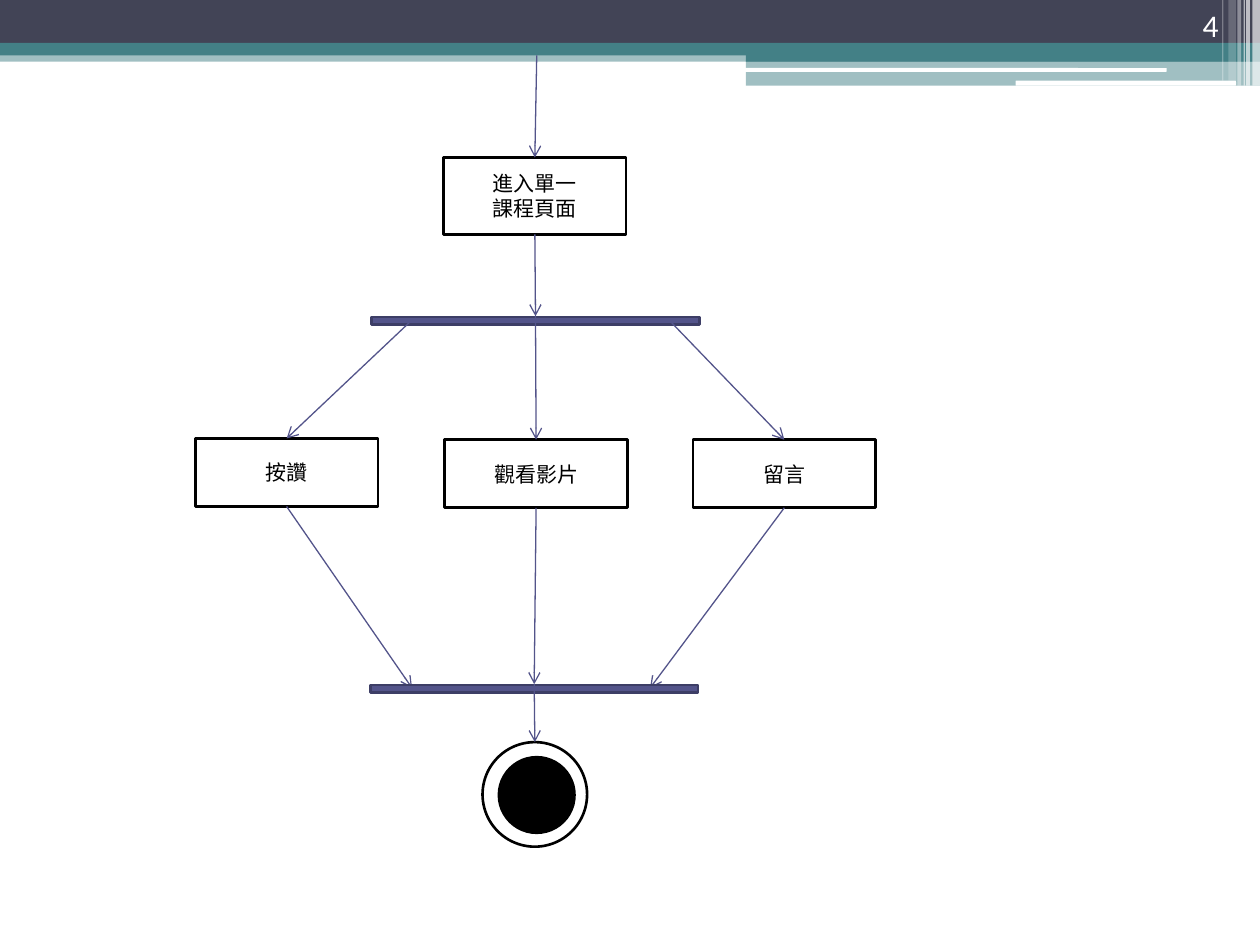
import pptx
import pptx.util
import pptx.dml.color
import pptx.enum.shapes
import pptx.enum.text
import pptx.oxml.ns
from lxml import etree

SHAPE = pptx.enum.shapes.MSO_SHAPE
ALIGN = pptx.enum.text.PP_ALIGN
ANCHOR = pptx.enum.text.MSO_ANCHOR
COLORS = {
    "slate": "424456", "teal": "438086", "white": "FFFFFF", "black": "000000",
    "violet": "53548A", "violet_edge": "3D3E66",
}
FONT = "Calibri"
COLUMNS, ROWS = 100, 75  # square grid cells
TOP, BOTTOM = 0, 2  # connection sites of a box


def add_child(parent, tag, **attributes):
    return etree.SubElement(parent, pptx.oxml.ns.qn(tag), attributes)


class ActivityPage:
    def __init__(self, deck):
        self.deck = deck
        self.page = deck.slides.add_slide(deck.slide_layouts[6])

    def x(self, columns):
        return round(self.deck.slide_width * columns / COLUMNS)

    def y(self, rows):
        return round(self.deck.slide_height * rows / ROWS)

    def frame(self, left, top, width, height):
        return self.x(left), self.y(top), self.x(width), self.y(height)

    def paint(self, target, color, opacity=100):
        target.solid()
        target.fore_color.rgb = pptx.dml.color.RGBColor.from_string(COLORS[color])
        if opacity < 100:
            color_node = target._xPr.find(".//" + pptx.oxml.ns.qn("a:srgbClr"))
            add_child(color_node, "a:alpha", val=str(opacity * 1000))

    def shape(self, kind, place, fill, edge=None, opacity=100, parent=None):
        shapes = (parent or self.page).shapes
        shape = shapes.add_shape(kind, *self.frame(*place))
        shape.shadow.inherit = False
        self.paint(shape.fill, fill, opacity)
        if edge:
            self.paint(shape.line.fill, edge)
            shape.line.width = pptx.util.Pt(1.5)
        else:
            shape.line.fill.background()
        return shape

    def label(self, shape, lines, size, color, align, anchor):
        text = shape.text_frame
        text.word_wrap = True
        text.vertical_anchor = anchor
        para = text.paragraphs[0]
        para.alignment = align
        for number, line in enumerate(lines):
            if number:
                para.add_line_break()
            span = para.add_run()
            span.text = line
            span.font.size = pptx.util.Pt(size)
            span.font.name = FONT
            self.paint(span.font.fill, color)

    def action(self, left, top, height, *lines):
        box = self.shape(SHAPE.RECTANGLE, (left, top, 14.5, height), "white", "black")
        self.label(box, lines, 12, "black", ALIGN.CENTER, ANCHOR.MIDDLE)
        return box

    def sync_bar(self, left, top):
        self.shape(SHAPE.MATH_MINUS, (left, top, 35.4, 2.5), "violet", "violet_edge")

    def final_node(self):
        group = self.page.shapes.add_group_shape()
        ring = self.shape(SHAPE.OVAL, (38.3, 58.9, 8.3, 8.3), "white", "black", parent=group)
        self.shape(SHAPE.OVAL, (39.6, 60.1, 6, 6), "black", "black", parent=group)
        return ring

    def arrow(self, start, end):
        """Each end is a (column, row) point or a (shape, connection site) pair."""
        def is_glued(place):
            return hasattr(place[0], "shape_id")

        points = [(0, 0) if is_glued(place) else place for place in (start, end)]
        (x1, y1), (x2, y2) = points
        line = self.page.shapes.add_connector(
            pptx.enum.shapes.MSO_CONNECTOR.STRAIGHT,
            self.x(x1), self.y(y1), self.x(x2), self.y(y2))
        if is_glued(start):
            line.begin_connect(*start)
        if is_glued(end):
            line.end_connect(*end)
        self.paint(line.line.fill, "violet")
        line.line.width = pptx.util.Pt(0.75)
        outline = line._element.spPr.find(pptx.oxml.ns.qn("a:ln"))
        add_child(outline, "a:tailEnd", type="arrow")
        add_child(line._element.spPr, "a:effectLst")

    def header(self):
        for place, color, opacity in (
            ((0, 4, 100, 0.9), "teal", 50),
            ((0, 0, 100, 3.4), "slate", 100),
            ((0, 3.4, 100, 1), "teal", 100),
            ((59.2, 3.9, 40.8, 1), "teal", 100),
            ((59.2, 4.8, 40.8, 2), "teal", 50),
        ):
            self.shape(SHAPE.RECTANGLE, place, color, opacity=opacity)
        for place in ((59.1, 5.4, 33.5, 0.3), (80.6, 6.4, 17.5, 0.4)):
            self.shape(SHAPE.ROUNDED_RECTANGLE, place, "white")
        for left, width, height, opacity in (
            (99.4, 0.6, 6.8, 65), (98.9, 0.3, 6.8, 65), (98.7, 0.1, 6.8, 60),
            (98.2, 0.3, 6.8, 40), (97.5, 0.6, 6.4, 20), (97, 0.1, 6.4, 30),
        ):
            self.shape(SHAPE.RECTANGLE, (left, 0, width, height), "white", opacity=opacity)

    def page_number(self, number):
        box = self.page.shapes.add_textbox(*self.frame(89.4, 0, 8.3, 4))
        self.label(box, [number], 18, "white", ALIGN.RIGHT, ANCHOR.BOTTOM)


def main():
    deck = pptx.Presentation()
    deck.slide_width = pptx.util.Inches(10)
    deck.slide_height = pptx.util.Inches(7.5)
    page = ActivityPage(deck)
    page.header()
    page.page_number("4")

    course = page.action(35.2, 12.5, 6.1, "進入單一", "課程頁面")
    like = page.action(15.5, 34.8, 5.4, "按讚")
    watch = page.action(35.3, 34.9, 5.4, "觀看影片")
    comment = page.action(55, 34.9, 5.4, "留言")
    final = page.final_node()

    page.sync_bar(24.8, 24.2)
    page.arrow((42.6, 4.4), (course, TOP))
    page.arrow((course, BOTTOM), (42.5, 25.1))
    for box, fork, join in (
        (like, (32.7, 25.4), (32.7, 54.6)),
        (watch, (42.5, 25.1), (42.4, 54.3)),
        (comment, (53.1, 25.4), (51.6, 54.6)),
    ):
        page.arrow(fork, (box, TOP))
        page.arrow((box, BOTTOM), join)
    page.sync_bar(24.7, 53.4)
    page.arrow((42.4, 54.3), (final, TOP))
    deck.save("out.pptx")


if __name__ == "__main__":
    main()
